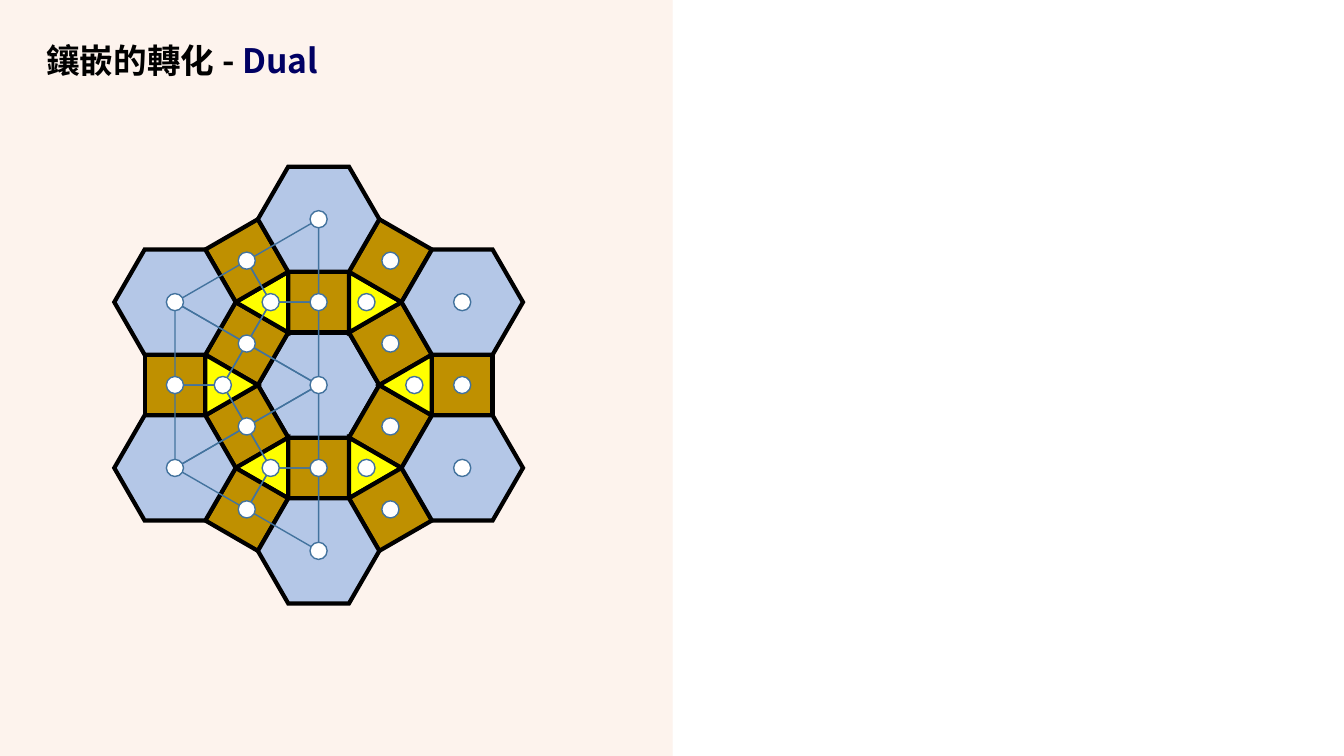
import math
import pptx
import pptx.util
import pptx.dml.color
import pptx.enum.shapes
import pptx.enum.text
import pptx.oxml.ns
from dataclasses import dataclass
from lxml import etree
from pptx.util import Inches

# Content
TITLE = ["鑲嵌的轉化 - ", "Dual"]
MID = (3.16, 3.82)      # centre of the tiling
SPAN = 3.29             # between opposite outer hexagon centres
DOT = 0.17              # diameter of a vertex of the dual
KITES = (120, 180, 240) # directions of triangles whose dual is drawn


@dataclass
class Theme:
    font: str = "Noto Sans CJK SC"
    size: int = 24
    ink: str = "000000"
    key: str = "000063"
    panel: str = "F4B183"
    rule: str = "FBE5D6"
    hexa: str = "B4C7E7"
    quad: str = "BF9000"
    tri: str = "FFFF00"
    dot: str = "FFFFFF"
    dual: str = "43739E"
    edge: float = 3
    thin: float = 1
    hair: float = 0.25


theme = Theme()


def color(code):
    return pptx.dml.color.RGBColor.from_string(code)


def add(node, tag, **attrs):
    return etree.SubElement(node, pptx.oxml.ns.qn(tag), attrs)


def fade(shape, code, alpha):
    """Make each use of one colour in a shape partly clear."""
    for clr in shape._element.iter(pptx.oxml.ns.qn("a:srgbClr")):
        if clr.get("val") == code:
            add(clr, "a:alpha", val=str(alpha * 1000))


def paint(shape, fill, line, width):
    shape.shadow.inherit = False
    if fill:
        shape.fill.solid()
        shape.fill.fore_color.rgb = color(fill)
    else:
        shape.fill.background()
    shape.line.color.rgb = color(line)
    shape.line.width = pptx.util.Pt(width)


# Geometry
def polar(mid, dist, angle):
    turn = math.radians(angle)
    return mid[0] + dist * math.cos(turn), mid[1] - dist * math.sin(turn)


def halfway(a, b):
    return (a[0] + b[0]) / 2, (a[1] + b[1]) / 2


def corners(mid, count, radius, start):
    return [polar(mid, radius, start + 360 * i / count) for i in range(count)]


def outline(shapes, points, fill, line, width):
    spots = [(Inches(x), Inches(y)) for x, y in points]
    pen = shapes.build_freeform(*spots[0])
    pen.add_line_segments(spots[1:], close=True)
    shape = pen.convert_to_shape()
    paint(shape, fill, line, width)
    add(shape.line._get_or_add_ln(), "a:miter", lim="800000")


def main():
    deck = pptx.Presentation()
    deck.slide_width, deck.slide_height = Inches(13.33), Inches(7.5)
    slide = deck.slides.add_slide(deck.slide_layouts[5])
    shapes = slide.shapes
    kinds = pptx.enum.shapes

    # Left panel and its edge
    half, full = Inches(6.67), deck.slide_height
    panel = shapes.add_shape(kinds.MSO_SHAPE.RECTANGLE, 0, 0, half, full)
    paint(panel, theme.panel, theme.panel, theme.hair)
    panel.line.fill.background()
    fade(panel, theme.panel, 14)
    rule = shapes.add_connector(kinds.MSO_CONNECTOR.STRAIGHT, half, full, half, 0)
    rule.line.color.rgb = color(theme.rule)
    rule.line.width = pptx.util.Pt(theme.hair)
    fade(rule, theme.rule, 50)
    add(rule._element.spPr, "a:effectLst")

    # Tile centres, in rings around the middle
    step = SPAN / 2
    side = step / (1 + math.sqrt(3))
    tip = side / math.sqrt(3)
    rays = range(0, 360, 60)
    outer = {a: polar(MID, step, a + 30) for a in rays}
    inner = {a: polar(MID, step / 2, a + 30) for a in rays}
    tris = {a: polar(MID, side + tip, a) for a in rays}
    rim = {a: polar(MID, step * math.sqrt(3) / 2, a) for a in rays}

    # Centres, corner count, radius, turn from the ray, fill
    rings = [
        ({0: MID}, 6, side, 0, theme.hexa),
        (inner, 4, side / math.sqrt(2), 75, theme.quad),
        (tris, 3, tip, 180, theme.tri),
        (rim, 4, side / math.sqrt(2), 45, theme.quad),
        (outer, 6, side, 0, theme.hexa),
    ]
    tiles = shapes.add_group_shape().shapes
    for mids, count, radius, turn, fill in rings:
        for ray, mid in mids.items():
            points = corners(mid, count, radius, ray + turn)
            outline(tiles, points, fill, theme.ink, theme.edge)

    # Title, brought in front of the panel
    title = shapes.title
    shapes._spTree.append(title._element)
    title.left, title.top = Inches(0.36), Inches(0.4)
    title.width, title.height = Inches(5.95), Inches(0.44)
    frame = title.text_frame
    frame.word_wrap = False
    frame.vertical_anchor = pptx.enum.text.MSO_ANCHOR.MIDDLE
    line = frame.paragraphs[0]
    line.alignment = pptx.enum.text.PP_ALIGN.LEFT
    line.line_spacing = 0.9
    for words, code in zip(TITLE, (theme.ink, theme.key)):
        run = line.add_run()
        run.text = words
        run.font.name = theme.font
        run.font.size = pptx.util.Pt(theme.size)
        run.font.bold = True
        run.font.color.rgb = color(code)
        add(run._r.get_or_add_rPr(), "a:ea", typeface=theme.font)

    # Kites of the dual: three around each chosen triangle
    for ray in KITES:
        trio = [MID, outer[ray - 60], outer[ray]]
        for i, hub in enumerate(trio):
            prev, after = trio[i - 1], trio[(i + 1) % 3]
            kite = [hub, halfway(hub, prev), tris[ray], halfway(hub, after)]
            outline(shapes, kite, None, theme.dual, theme.thin)

    # A dot on every tile centre
    for mids, *_ in rings:
        for x, y in mids.values():
            dot = shapes.add_shape(
                kinds.MSO_SHAPE.OVAL, Inches(x - DOT / 2), Inches(y - DOT / 2),
                Inches(DOT), Inches(DOT))
            paint(dot, theme.dot, theme.dual, theme.thin)

    deck.save("out.pptx")


if __name__ == "__main__":
    main()
